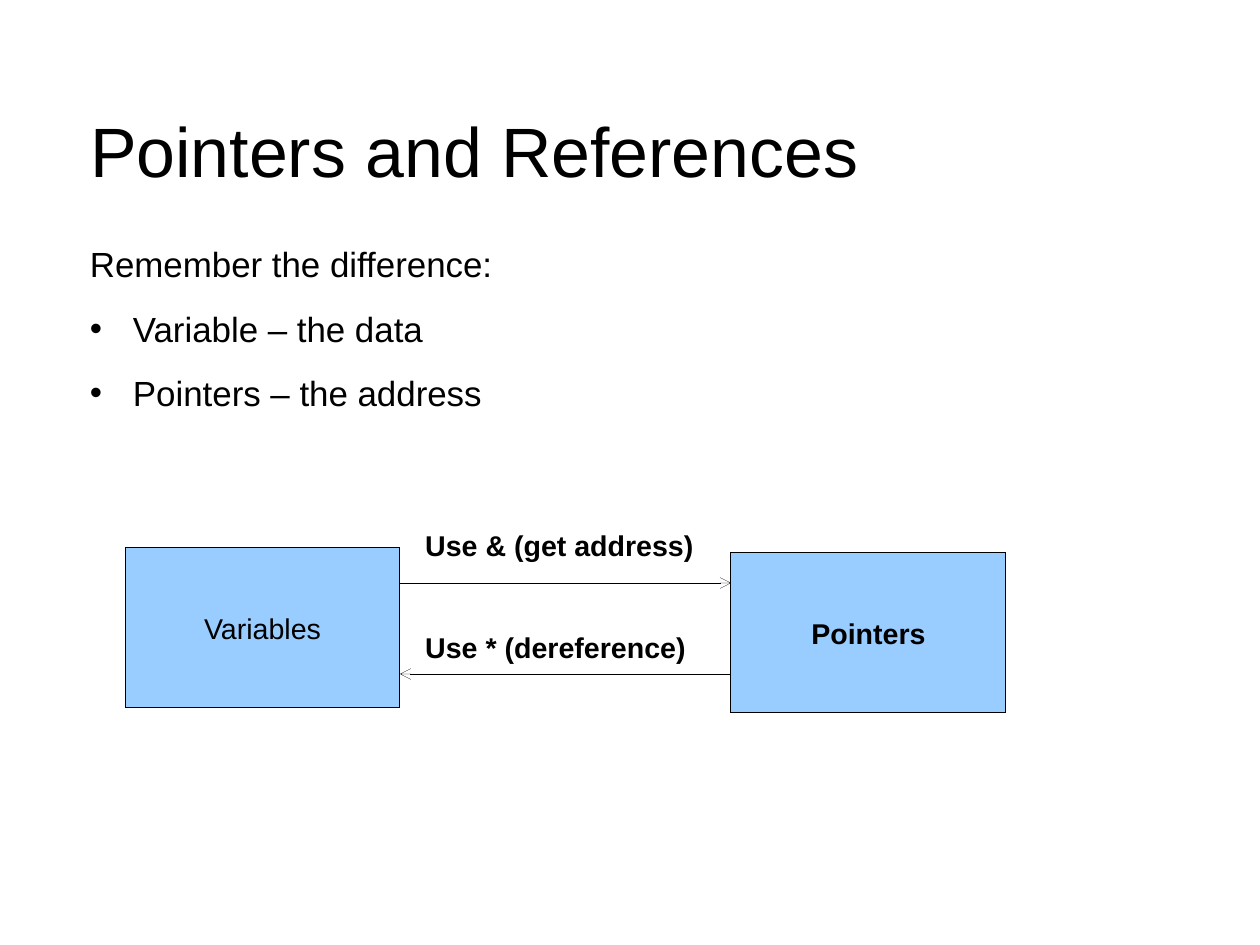
"""Build the slide on pointers and references."""
from pptx import Presentation
from pptx.dml.color import RGBColor as Rgb
from pptx.enum.shapes import MSO_CONNECTOR as Conn, MSO_SHAPE as Shape
from pptx.enum.text import MSO_ANCHOR as Anchor, MSO_AUTO_SIZE as Fit, PP_ALIGN as Align
from pptx.oxml.ns import qn
from pptx.oxml.xmlchemy import OxmlElement as Node
from pptx.util import Pt

PX = 8000
INK = {"black": "000000", "blue": "99CCFF"}


def write(para, text, size, bold=False):
    run = para.add_run()
    run.text = text
    font = run.font
    font.name, font.size, font.bold = "Arial", Pt(size), bold
    font.color.rgb = Rgb.from_string(INK["black"])


def px(*nums):
    return [num * PX for num in nums]


deck = Presentation()
deck.slide_width, deck.slide_height = px(1260, 945)
slide = deck.slides.add_slide(deck.slide_layouts[5])
shapes = slide.shapes

title = shapes.title
title.left, title.top, title.width, title.height = px(90, 86, 1057, 128)
body = shapes.add_textbox(*px(90, 243, 1106, 601))
for box in (title, body):
    frame = box.text_frame
    frame.word_wrap = True
    frame.auto_size = Fit.NONE
    frame.margin_left = frame.margin_top = frame.margin_right = frame.margin_bottom = 0
title.text_frame.vertical_anchor = Anchor.MIDDLE
head = title.text_frame.paragraphs[0]
head.alignment = Align.LEFT
write(head, "Pointers and References", 44)

points = ["Remember the difference:", "Variable – the data", "Pointers – the address"]
for i, text in enumerate(points):
    para = body.text_frame.add_paragraph() if i else body.text_frame.paragraphs[0]
    para.space_after = Pt(14.2)
    write(para, text, 22)
    if i:
        props = para._p.get_or_add_pPr()
        props.set("marL", str(43 * PX))
        props.set("indent", str(-43 * PX))
        for tag, key, value in [("a:buFont", "typeface", "Arial"), ("a:buChar", "char", "•")]:
            node = Node(tag)
            node.set(key, value)
            props.append(node)

lined = []
for text, left, top, bold in [("Variables", 125, 548, False), ("Pointers", 731, 553, True)]:
    box = shapes.add_shape(Shape.RECTANGLE, *px(left, top, 275, 160))
    box.shadow.inherit = False
    box.fill.solid()
    box.fill.fore_color.rgb = Rgb.from_string(INK["blue"])
    frame = box.text_frame
    frame.word_wrap = False
    frame.vertical_anchor = Anchor.MIDDLE
    para = frame.paragraphs[0]
    para.alignment = Align.CENTER
    write(para, text, 18, bold)
    lined.append(box)

for start, end, y in [(400, 731, 583), (731, 400, 674)]:
    arrow = shapes.add_connector(Conn.STRAIGHT, *px(start, y, end, y))
    arrow.line.color.rgb = Rgb.from_string(INK["black"])
    tip = Node("a:tailEnd")
    tip.set("type", "arrow")
    props = arrow.element.spPr
    props.find(qn("a:ln")).append(tip)
    props.append(Node("a:effectLst"))
    lined.append(arrow)

for part in lined:
    part.line.color.rgb = Rgb.from_string(INK["black"])
    part.element.spPr.find(qn("a:ln")).set("w", "0")

label = shapes.add_textbox(*px(414, 522, 320, 143))
frame = label.text_frame
frame.word_wrap = False
frame.auto_size = Fit.SHAPE_TO_FIT_TEXT
for i, text in enumerate(["Use & (get address)", "Use * (dereference)"]):
    para = frame.add_paragraph() if i else frame.paragraphs[0]
    para.space_before = Pt(43 * i)
    write(para, text, 18, True)

deck.save("out.pptx")
